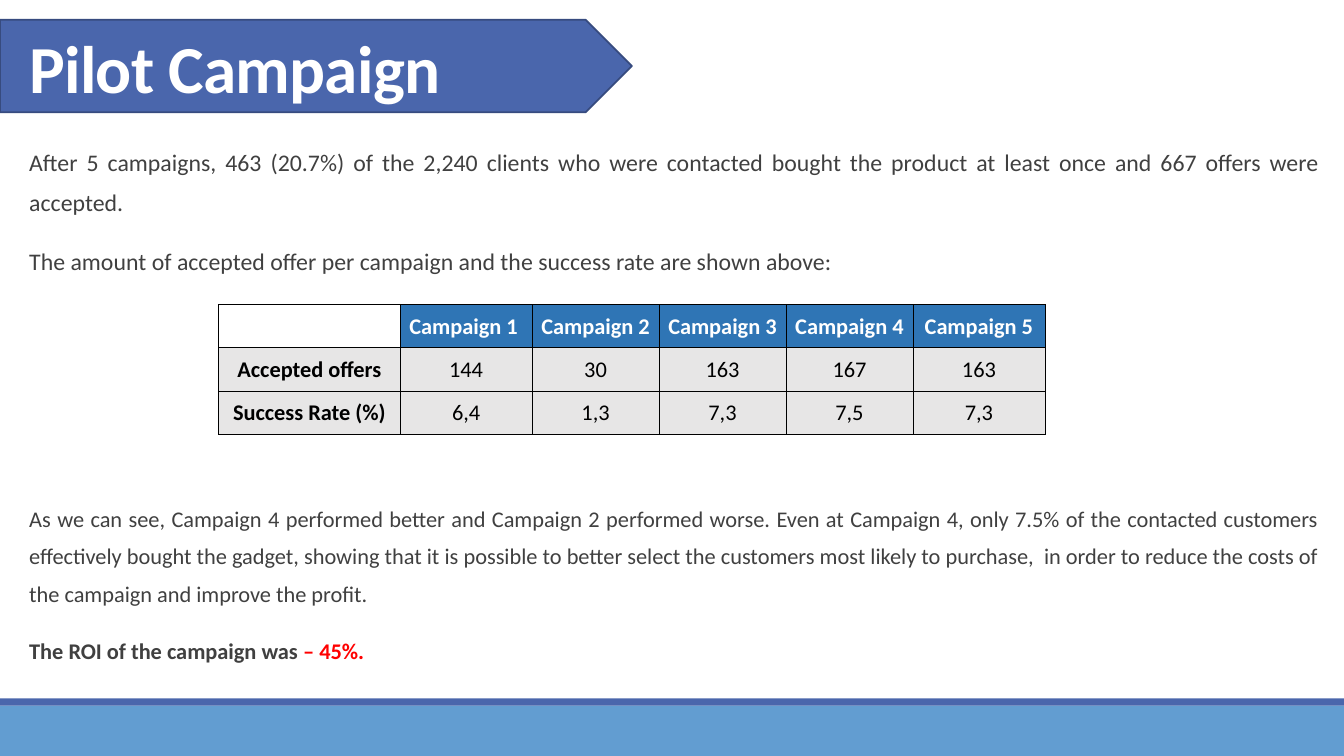
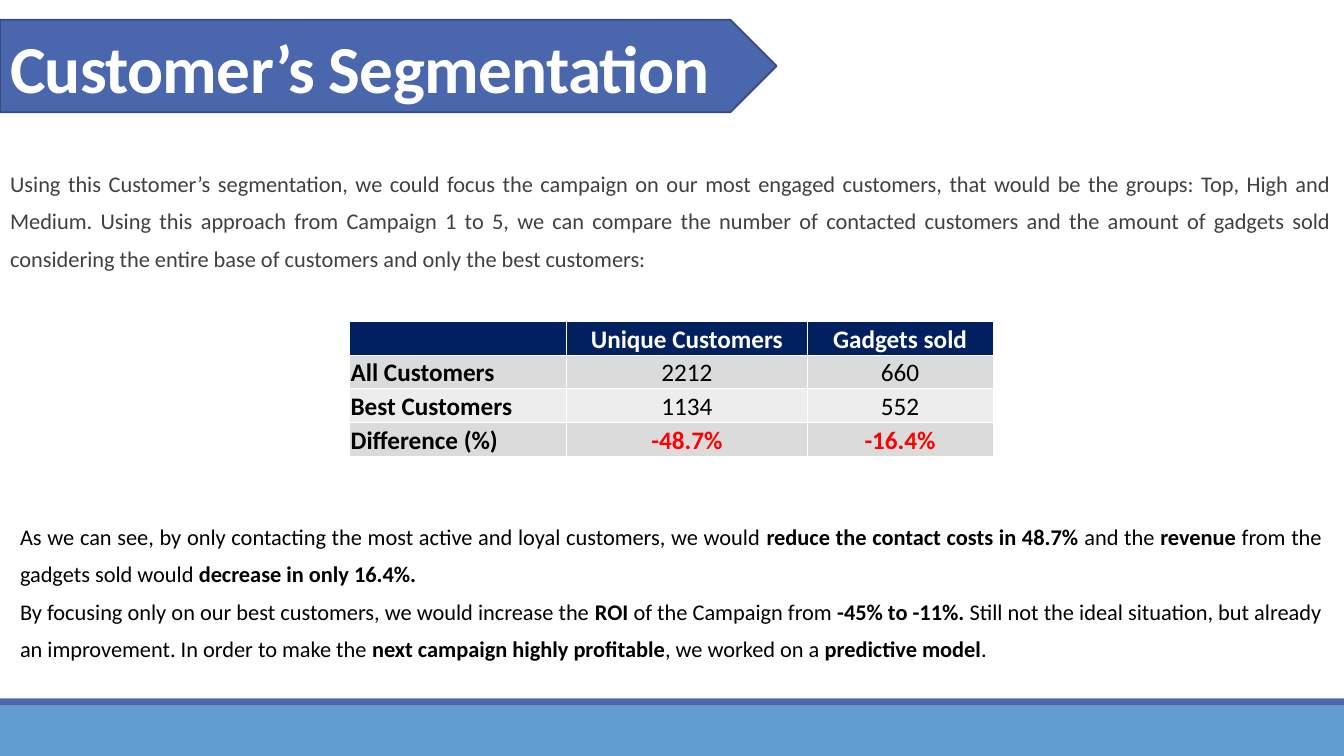
import pptx
import pptx.util
import pptx.dml.color
import pptx.enum.shapes
import pptx.enum.text
import lxml.etree
from pptx.oxml.ns import qn

Pt = pptx.util.Pt
RGBColor = pptx.dml.color.RGBColor
ALIGN = pptx.enum.text.PP_ALIGN
ANCHOR = pptx.enum.text.MSO_ANCHOR
SHAPE = pptx.enum.shapes.MSO_SHAPE

INDIGO = RGBColor(0x4A, 0x66, 0xAC)
DARK_INDIGO = RGBColor(0x37, 0x4B, 0x7F)
SKY = RGBColor(0x62, 0x9D, 0xD1)
BLUE = RGBColor(0x2F, 0x75, 0xB5)
NAVY = RGBColor(0x00, 0x20, 0x60)
WHITE = RGBColor(0xFF, 0xFF, 0xFF)
BLACK = RGBColor(0x00, 0x00, 0x00)
GRAPHITE = RGBColor(0x40, 0x40, 0x40)
RED = RGBColor(0xFF, 0x00, 0x00)
WARM_GREY = RGBColor(0xE7, 0xE6, 0xE6)
MID_GREY = RGBColor(0xDB, 0xDB, 0xDB)
PALE_GREY = RGBColor(0xED, 0xED, 0xED)

FONT = "Calibri"
PAGE_WIDTH = 960
BOLD = {"bold": True}
RED_BOLD = {"bold": True, "color": RED}
TITLE_PARA = {"alignment": ALIGN.LEFT, "line_spacing": 0.85}
TITLE_FONT = {"size": Pt(48), "bold": True, "color": WHITE}
SPACED = {"alignment": ALIGN.JUSTIFY, "line_spacing": 1.4,
          "space_before": Pt(12), "space_after": Pt(2)}
TIGHT = {"alignment": ALIGN.JUSTIFY, "line_spacing": 1.4}


def write(frame, paragraphs, para_format, font_format):
    for index, runs in enumerate(paragraphs):
        para = frame.paragraphs[0] if index == 0 else frame.add_paragraph()
        for name, value in para_format.items():
            setattr(para, name, value)
        for text, changes in runs:
            span = para.add_run()
            span.text = text
            for name, value in {"name": FONT, **font_format, **changes}.items():
                if name == "color":
                    span.font.color.rgb = value
                else:
                    setattr(span.font, name, value)


def add_block(page, kind, left, top, width, height, color):
    block = page.shapes.add_shape(kind, Pt(left), Pt(top), Pt(width), Pt(height))
    block.shadow.inherit = False
    block.fill.solid()
    block.fill.fore_color.rgb = color
    block.line.fill.background()
    return block


PAGES = [
    {
        "title": "Pilot Campaign", "title_left": 13.7, "title_width": 351,
        "arrow_width": 451.4,
        "text_left": 20.9, "text_width": 921.6,
        "texts": [
            (93.6, 110, 17, GRAPHITE, SPACED, [
                [("After 5 campaigns, 463 (20.7%) of the 2,240 clients who were contacted bought "
                  "the product at least once and 667 offers were accepted.", {})],
                [("The amount of accepted offer per campaign and the success rate are shown "
                  "above:", {})],
            ]),
            (349.5, 135, 16, GRAPHITE, SPACED, [
                [("As we can see, Campaign 4 performed better and Campaign 2 performed worse. "
                  "Even at Campaign 4, only 7.5% of the contacted customers effectively bought "
                  "the gadget, showing that it is possible to better select the customers most "
                  "likely to purchase,  in order to reduce the costs of the campaign and improve "
                  "the profit.", {})],
                [("The ROI of the campaign was ", BOLD), ("– 45%.", RED_BOLD)],
            ]),
        ],
        "table": {
            "left": 156.2, "top": 217.4, "row_height": 31, "size": 16,
            "widths": [129.6, 94.3, 90.7, 90.7, 90.7, 94.3],
            "border": "000000", "anchor": ANCHOR.MIDDLE, "label_align": ALIGN.CENTER,
            "corner": None, "fills": [BLUE, WARM_GREY, WARM_GREY], "red_row": None,
            "rows": [
                ["", "Campaign 1 ", "Campaign 2", "Campaign 3", "Campaign 4", "Campaign 5"],
                ["Accepted offers", "144", "30", "163", "167", "163"],
                ["Success Rate (%)", "6,4", "1,3", "7,3", "7,5", "7,3"],
            ],
        },
    },
    {
        "title": "Customer’s Segmentation", "title_left": 0, "title_width": 543.6,
        "arrow_width": 554.7,
        "text_left": 7.2, "text_width": 943.9,
        "texts": [
            (110.2, 90.7, 16, GRAPHITE, SPACED, [
                [("Using this Customer’s segmentation, we could focus the campaign on our most "
                  "engaged customers, that would be the groups: Top, High and Medium. Using this "
                  "approach from Campaign 1 to 5, we can compare the number of contacted customers "
                  "and the amount of gadgets sold considering the entire base of customers and "
                  "only the best customers:", {})],
            ]),
            (362.2, 113, 16, BLACK, TIGHT, [
                [("As we can see, by only contacting the most active and loyal customers, we "
                  "would ", {}), ("reduce the contact costs in 48.7% ", BOLD), ("and the ", {}),
                 ("revenue ", BOLD), ("from the gadgets sold would ", {}),
                 ("decrease in only 16.4%.", BOLD)],
                [("By focusing only on our best customers, we would increase the ", {}),
                 ("ROI ", BOLD), ("of the Campaign from ", {}), ("-45% to -11%. ", BOLD),
                 ("Still not the ideal situation, but already an improvement. In order to make "
                  "the ", {}), ("next campaign highly profitable", BOLD),
                 (", we worked on a ", {}), ("predictive model", BOLD), (".", {})],
            ]),
        ],
        "closing_inset": 7.2,
        "table": {
            "left": 249.8, "top": 229.7, "row_height": 24, "size": 18,
            "widths": [154.8, 172.1, 132.5],
            "border": "FFFFFF", "anchor": ANCHOR.BOTTOM, "label_align": ALIGN.LEFT,
            "corner": NAVY, "fills": [NAVY, MID_GREY, PALE_GREY, MID_GREY], "red_row": 3,
            "rows": [
                ["", "Unique Customers", "Gadgets sold"],
                ["All Customers", "2212", "660"],
                ["Best Customers", "1134", "552"],
                ["Difference (%)", "-48.7%", "-16.4%"],
            ],
        },
    },
]

deck = pptx.Presentation()
deck.slide_width = Pt(PAGE_WIDTH)
deck.slide_height = Pt(540)
layout = deck.slide_layouts[5]

for number, content in enumerate(PAGES):
    page = deck.slides.add_slide(layout)
    if number == 0:
        for top, height, color in [(504, 36, SKY), (498.8, 5.2, INDIGO)]:
            band = add_block(page, SHAPE.RECTANGLE, 0, top, PAGE_WIDTH, height, color)
            layout.shapes.element.append(band.element)

    title = page.shapes.title
    title.left, title.top = Pt(content["title_left"]), Pt(17.3)
    title.width, title.height = Pt(content["title_width"]), Pt(62.6)
    title.text_frame.auto_size = pptx.enum.text.MSO_AUTO_SIZE.NONE
    title.text_frame.word_wrap = True
    title.text_frame.vertical_anchor = ANCHOR.BOTTOM
    write(title.text_frame, [[(content["title"], {})]], TITLE_PARA, TITLE_FONT)
    title.text_frame.paragraphs[0].runs[0].font._element.set("spc", "-50")

    arrow = add_block(page, SHAPE.PENTAGON, 0, 14.2, content["arrow_width"], 66, INDIGO)
    arrow.line.color.rgb = DARK_INDIGO
    arrow.line.width = Pt(1.25)
    title.element.addprevious(arrow.element)

    for index, (top, height, size, color, para_format, paragraphs) in enumerate(content["texts"]):
        inset = content.get("closing_inset", 0) if index else 0
        box = page.shapes.add_textbox(Pt(content["text_left"]), Pt(top),
                                      Pt(content["text_width"]), Pt(height))
        frame = box.text_frame
        frame.word_wrap = True
        frame.margin_left = frame.margin_right = Pt(inset)
        write(frame, paragraphs, para_format, {"size": Pt(size), "color": color})

    grid = content["table"]
    rows, widths = grid["rows"], grid["widths"]
    table = page.shapes.add_table(len(rows), len(widths), Pt(grid["left"]), Pt(grid["top"]),
                                  Pt(sum(widths)), Pt(grid["row_height"] * len(rows))).table
    table.first_row = table.horz_banding = False
    for column, width in zip(table.columns, widths):
        column.width = Pt(width)
    for r, values in enumerate(rows):
        table.rows[r].height = Pt(grid["row_height"])
        for c, value in enumerate(values):
            cell = table.cell(r, c)
            cell.vertical_anchor = grid["anchor"]
            cell.margin_left = cell.margin_right = cell.margin_top = Pt(0.7)
            cell.margin_bottom = Pt(0)
            properties = cell._tc.get_or_add_tcPr()
            for side in ["a:lnL", "a:lnR", "a:lnT", "a:lnB"]:
                line = lxml.etree.SubElement(properties, qn(side), w=str(Pt(0.5)))
                paint = lxml.etree.SubElement(line, qn("a:solidFill"))
                lxml.etree.SubElement(paint, qn("a:srgbClr"), val=grid["border"])
            fill = grid["corner"] if r == c == 0 else grid["fills"][r]
            if fill is None:
                cell.fill.background()
            else:
                cell.fill.solid()
                cell.fill.fore_color.rgb = fill
            if value:
                red = r == grid["red_row"] and c > 0
                color = WHITE if r == 0 else RED if red else BLACK
                write(cell.text_frame, [[(value, {})]],
                      {"alignment": ALIGN.CENTER if c else grid["label_align"]},
                      {"size": Pt(grid["size"]), "bold": r == 0 or c == 0 or red, "color": color})

deck.save("out.pptx")
